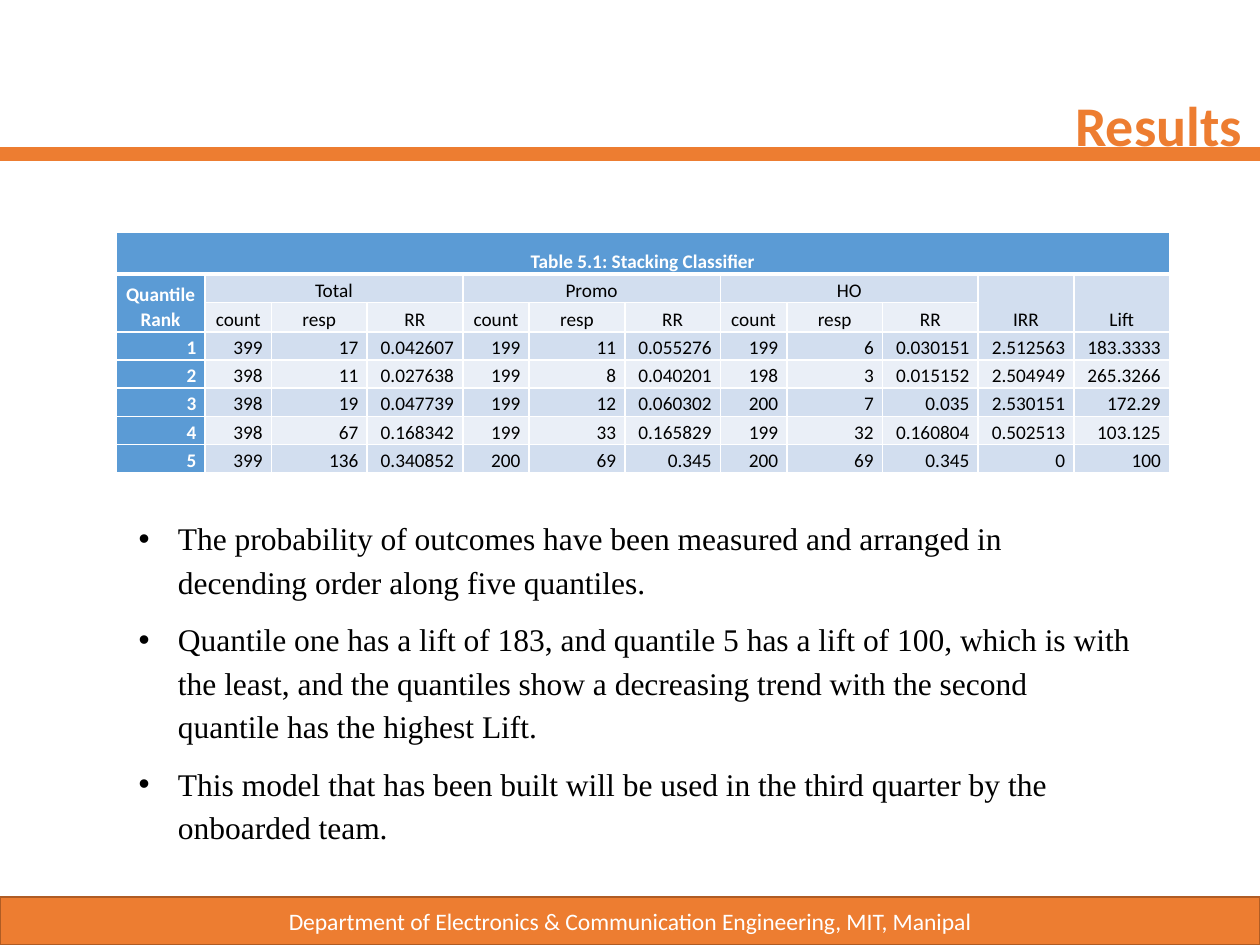
"""Build the results slide with the stacking classifier table and its findings."""
from dataclasses import dataclass

from lxml.etree import SubElement
from pptx import Presentation
from pptx.dml.color import RGBColor
from pptx.enum.shapes import MSO_CONNECTOR as Connector, MSO_SHAPE as Preset
from pptx.enum.text import MSO_ANCHOR as Anchor, MSO_AUTO_SIZE as AutoSize, PP_ALIGN as Align
from pptx.oxml.ns import qn
from pptx.util import Pt

ORANGE = RGBColor(0xED, 0x7D, 0x31)
DARK_ORANGE = RGBColor(0xAF, 0x5C, 0x24)
BLUE = RGBColor(0x5B, 0x9B, 0xD5)
BAND_DARK = RGBColor(0xD2, 0xDE, 0xEF)
BAND_LIGHT = RGBColor(0xEA, 0xEF, 0xF7)
WHITE = RGBColor(0xFF, 0xFF, 0xFF)
BLACK = RGBColor(0x00, 0x00, 0x00)


@dataclass(frozen=True)
class HeaderCell:
    text: str
    row: int
    column: int
    rows: int = 1
    columns: int = 1
    fill: RGBColor = BAND_DARK


GROUPS = {"Total": 1, "Promo": 4, "HO": 7}
MEASURES = ("count", "resp", "RR")
HEADERS = [
    HeaderCell("Table 5.1: Stacking Classifier", 0, 0, columns=12, fill=BLUE),
    HeaderCell("Quantile Rank", 1, 0, rows=2, fill=BLUE),
    *(HeaderCell(name, 1, column, columns=3) for name, column in GROUPS.items()),
    HeaderCell("IRR", 1, 10, rows=2),
    HeaderCell("Lift", 1, 11, rows=2),
    *(
        HeaderCell(measure, 2, start + offset, fill=BAND_LIGHT)
        for start in GROUPS.values()
        for offset, measure in enumerate(MEASURES)
    ),
]
QUANTILES = (
    "1 399 17 0.042607 199 11 0.055276 199 6 0.030151 2.512563 183.3333",
    "2 398 11 0.027638 199 8 0.040201 198 3 0.015152 2.504949 265.3266",
    "3 398 19 0.047739 199 12 0.060302 200 7 0.035 2.530151 172.29",
    "4 398 67 0.168342 199 33 0.165829 199 32 0.160804 0.502513 103.125",
    "5 399 136 0.340852 200 69 0.345 200 69 0.345 0 100",
)
COLUMN_WIDTHS = (50.9, *(37.9, 54.7, 54.7) * 3, 54.7, 54.7)
ROW_HEIGHTS = (24.2, 16.1, 16.9, *(16.1,) * 5)
FINDINGS = (
    "The probability of outcomes have been measured and arranged in decending order "
    "along five quantiles.",
    "Quantile one has a lift of 183, and quantile 5 has a lift of 100, which is with "
    "the least, and the quantiles show a decreasing trend with the second quantile has "
    "the highest Lift.",
    "This model that has been built will be used in the third quarter by the onboarded team.",
)


def write(paragraph, text: str, *, size: float, color: RGBColor, font: str = "Calibri",
          bold: bool = False, align=Align.LEFT, line_spacing: float = 1.0,
          space_after: float = 0) -> None:
    run = paragraph.add_run()
    run.text = text
    run.font.name = font
    run.font.size = Pt(size)
    run.font.bold = bold
    run.font.color.rgb = color
    paragraph.alignment = align
    paragraph.line_spacing = line_spacing
    paragraph.space_before = Pt(0)
    paragraph.space_after = Pt(space_after)


def place(shape, left: float, top: float, width: float, height: float) -> None:
    shape.left, shape.top = Pt(left), Pt(top)
    shape.width, shape.height = Pt(width), Pt(height)
    shape.text_frame.word_wrap = True
    shape.text_frame.auto_size = AutoSize.NONE
    shape.text_frame.vertical_anchor = Anchor.TOP
    shape.element.getparent().append(shape.element)


def add_rule(slide) -> None:
    rule = slide.shapes.add_connector(Connector.STRAIGHT, Pt(0), Pt(88), Pt(720), Pt(88))
    rule.line.color.rgb = ORANGE
    rule.line.width = Pt(8)
    SubElement(rule.element.spPr, qn("a:effectLst"))


def add_footer(slide) -> None:
    footer = slide.shapes.add_shape(Preset.RECTANGLE, Pt(0), Pt(512.6), Pt(720), Pt(27.4))
    footer.shadow.inherit = False
    footer.fill.solid()
    footer.fill.fore_color.rgb = ORANGE
    footer.line.color.rgb = DARK_ORANGE
    footer.line.width = Pt(1)
    footer.text_frame.word_wrap = True
    footer.text_frame.vertical_anchor = Anchor.MIDDLE
    write(footer.text_frame.paragraphs[0],
          "Department of Electronics & Communication Engineering, MIT, Manipal",
          size=13.5, color=WHITE, align=Align.CENTER)


def style_cell(cell, fill: RGBColor, top: float, bottom: float) -> None:
    properties = cell._tc.get_or_add_tcPr()
    for side, width in (("L", 1), ("R", 1), ("T", top), ("B", bottom)):
        border = SubElement(properties, qn(f"a:ln{side}"), w=str(Pt(width)))
        SubElement(SubElement(border, qn("a:solidFill")), qn("a:srgbClr"), val=str(WHITE))
    cell.fill.solid()
    cell.fill.fore_color.rgb = fill
    cell.margin_left = cell.margin_right = Pt(5)
    cell.margin_top = cell.margin_bottom = Pt(0)
    cell.vertical_anchor = Anchor.BOTTOM


def fill_cell(table, header: HeaderCell, align) -> None:
    last_row = header.row + header.rows - 1
    last_column = header.column + header.columns - 1
    for row in range(header.row, last_row + 1):
        for column in range(header.column, last_column + 1):
            style_cell(table.cell(row, column), header.fill,
                       top=3 if row == 1 else 1, bottom=3 if row == 0 else 1)
    cell = table.cell(header.row, header.column)
    if header.rows * header.columns > 1:
        cell.merge(table.cell(last_row, last_column))
    on_blue = header.fill == BLUE
    write(cell.text_frame.paragraphs[0], header.text, size=11, bold=on_blue,
          color=WHITE if on_blue else BLACK, align=align, line_spacing=1.07, space_after=8)


def add_results_table(slide) -> None:
    frame = slide.shapes.add_table(len(ROW_HEIGHTS), len(COLUMN_WIDTHS), Pt(66.3), Pt(132.5),
                                   Pt(sum(COLUMN_WIDTHS)), Pt(sum(ROW_HEIGHTS)))
    table = frame.table
    table.first_row = table.horz_banding = False
    for column, width in zip(table.columns, COLUMN_WIDTHS):
        column.width = Pt(width)
    for row, height in zip(table.rows, ROW_HEIGHTS):
        row.height = Pt(height)
    for header in HEADERS:
        fill_cell(table, header, Align.CENTER)
    for row, quantile in enumerate(QUANTILES, start=3):
        band = BAND_DARK if row % 2 else BAND_LIGHT
        for column, value in enumerate(quantile.split()):
            fill = band if column else BLUE
            fill_cell(table, HeaderCell(value, row, column, fill=fill), Align.RIGHT)


def add_findings(body) -> None:
    place(body, 36, 290, 618.5, 197)
    for index, finding in enumerate(FINDINGS):
        frame = body.text_frame
        paragraph = frame.add_paragraph() if index else frame.paragraphs[0]
        write(paragraph, finding, size=18, color=BLACK, font="Times New Roman",
              line_spacing=1.15, space_after=8)
        properties = paragraph._p.get_or_add_pPr()
        properties.set("marL", str(Pt(58.5)))
        properties.set("indent", str(Pt(-22.5)))
        SubElement(properties, qn("a:buFont"), typeface="Arial")
        SubElement(properties, qn("a:buChar"), char="•")


def main() -> None:
    presentation = Presentation()
    presentation.slide_width, presentation.slide_height = Pt(720), Pt(540)
    slide = presentation.slides.add_slide(presentation.slide_layouts[1])
    title, body = slide.placeholders
    add_rule(slide)
    add_footer(slide)
    place(title, 229.7, 48, 487.4, 34.6)
    write(title.text_frame.paragraphs[0], "Results", size=32, color=ORANGE, bold=True,
          align=Align.RIGHT)
    add_results_table(slide)
    add_findings(body)
    presentation.save("out.pptx")


if __name__ == "__main__":
    main()
